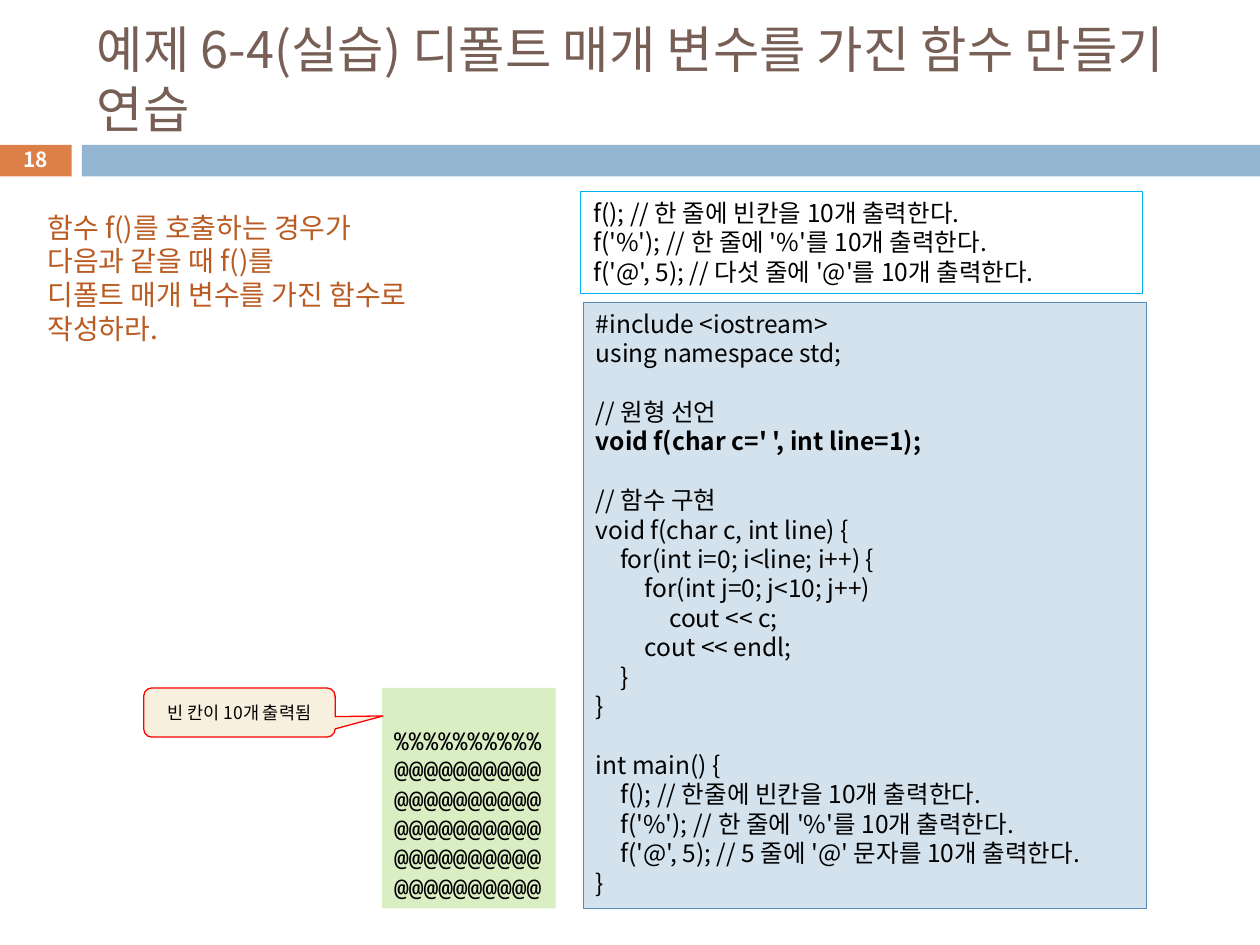
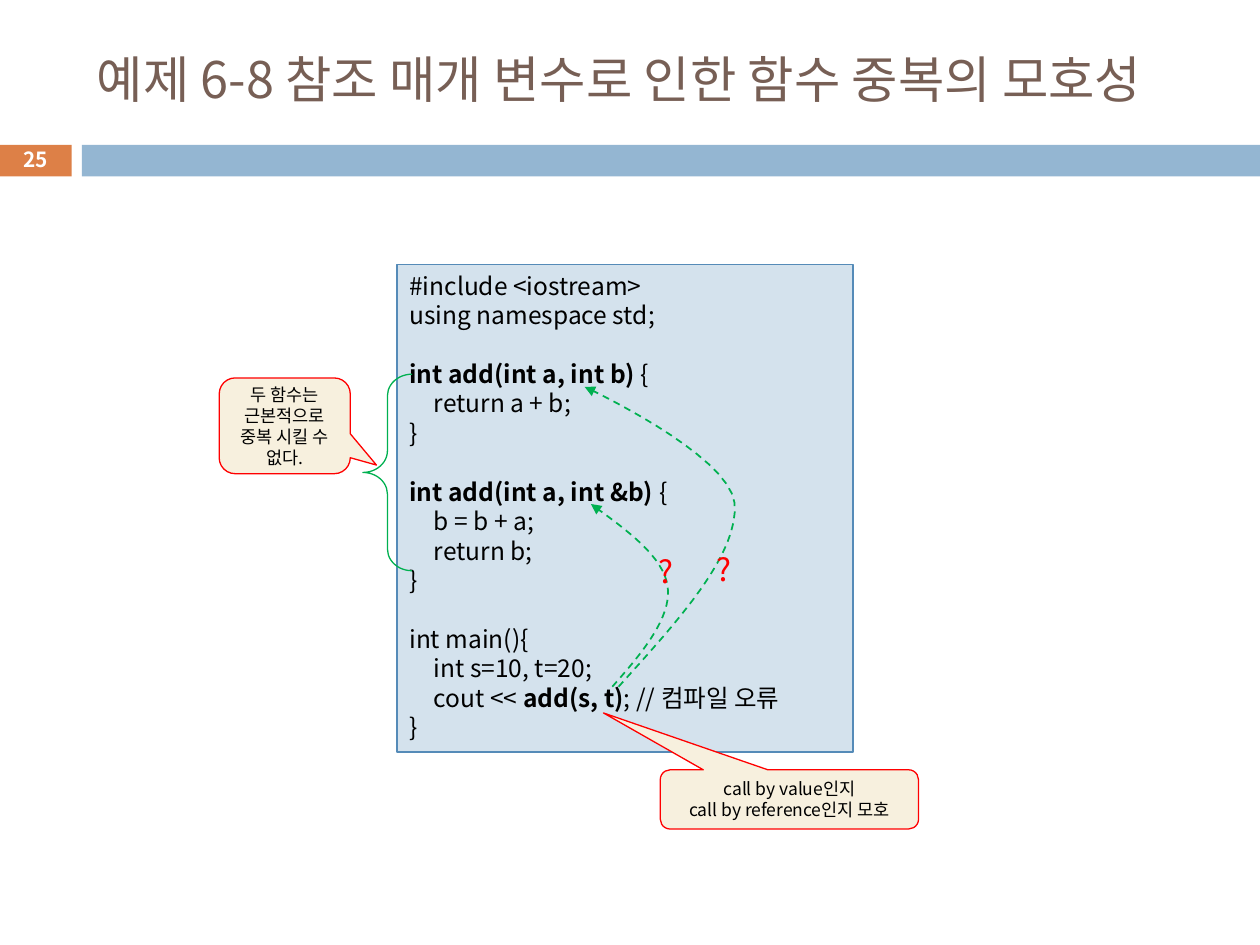
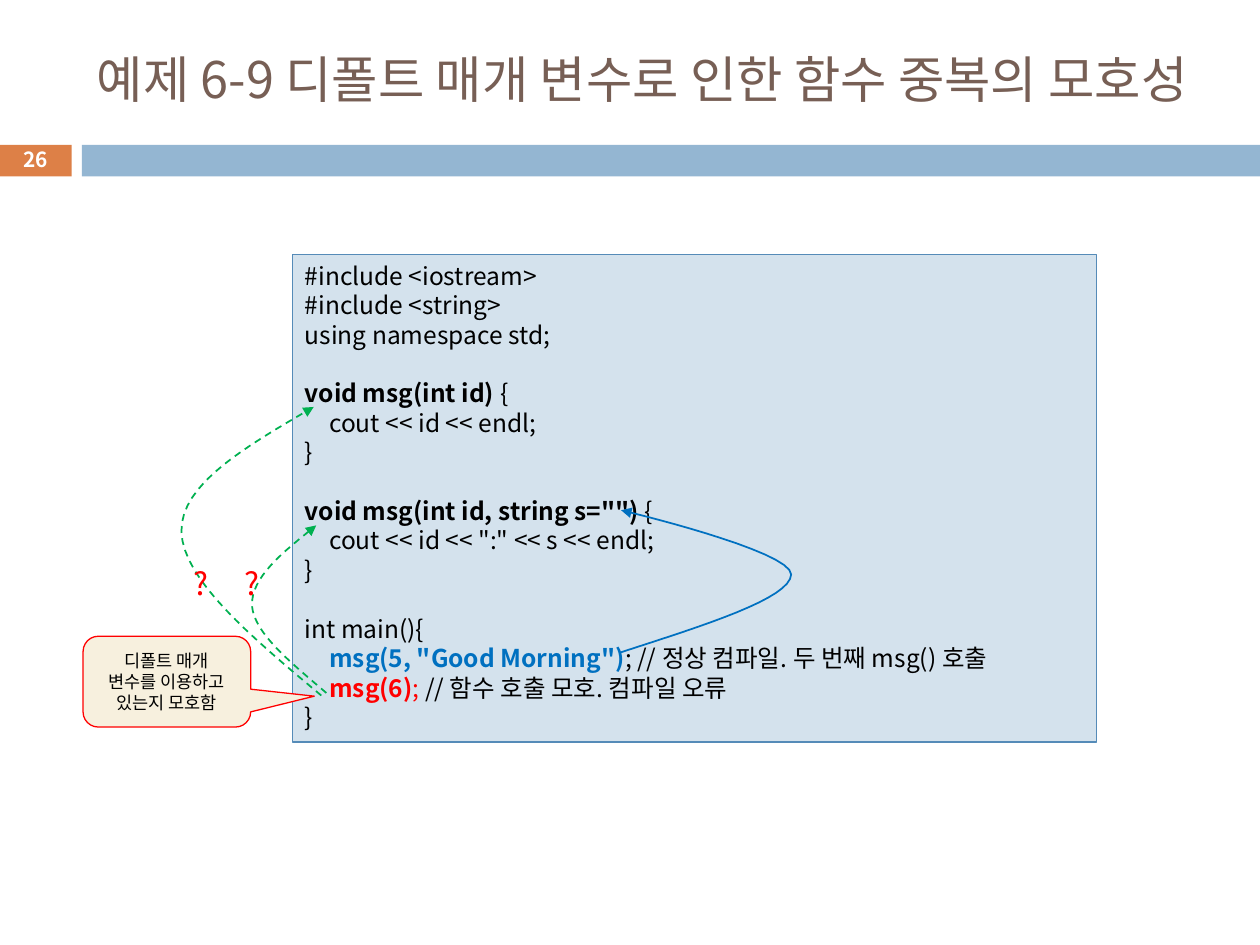
from lxml.etree import SubElement
from pptx import Presentation
from pptx.dml.color import RGBColor
from pptx.enum.dml import MSO_LINE
from pptx.enum.shapes import MSO_SHAPE
from pptx.enum.text import MSO_ANCHOR, PP_ALIGN
from pptx.oxml.ns import qn
from pptx.util import Inches, Pt

SANS, MONO = "Noto Sans CJK KR", "Noto Sans Mono"
BLACK = RGBColor(0, 0, 0)
WHITE = RGBColor(255, 255, 255)
RED = RGBColor(255, 0, 0)
GREEN = RGBColor(0x00, 0xB0, 0x50)
BLUE = RGBColor(0x00, 0x70, 0xC0)
CYAN = RGBColor(0x00, 0xB0, 0xF0)
BROWN = RGBColor(0x77, 0x5F, 0x55)
RUST = RGBColor(0xB9, 0x5B, 0x22)
BADGE = RGBColor(0xDD, 0x80, 0x47)
BAND = RGBColor(0x94, 0xB6, 0xD2)
CODE_FILL = RGBColor(0xD4, 0xE2, 0xED)
CODE_LINE = RGBColor(0x55, 0x8B, 0xB8)
OUTPUT_FILL = RGBColor(0xDA, 0xEE, 0xC4)
NOTE_FILL = RGBColor(0xF7, 0xF0, 0xDE)

WIDTH, HEIGHT = Inches(10), Inches(7.5)
COLUMN, ROW = WIDTH / 100, HEIGHT / 75
LEADING = 1.2
CODE_SIZE = 14
CURVE_STEPS = 16

F_CODE = [
    "#include <iostream>",
    "using namespace std;",
    "",
    "// 원형 선언",
    [("void f(char c=' ', int line=1);", BLACK, True)],
    "",
    "// 함수 구현",
    "void f(char c, int line) {",
    "\tfor(int i=0; i<line; i++) {",
    "\t\tfor(int j=0; j<10; j++)",
    "\t\t\tcout << c;",
    "\t\tcout << endl;",
    "\t}",
    "}",
    "",
    "int main() {",
    "\tf(); // 한줄에 빈칸을 10개 출력한다.",
    "\tf('%'); // 한 줄에 '%'를 10개 출력한다.",
    "\tf('@', 5); // 5 줄에 '@' 문자를 10개 출력한다.",
    "}",
]
F_CALLS = [
    "f(); // 한 줄에 빈칸을 10개 출력한다.",
    "f('%'); // 한 줄에 '%'를 10개 출력한다.",
    "f('@', 5); // 다섯 줄에 '@'를 10개 출력한다.",
]
F_TASK = [
    "함수 f()를 호출하는 경우가",
    "다음과 같을 때 f()를",
    "디폴트 매개 변수를 가진 함수로",
    "작성하라.",
]
ADD_CODE = [
    "#include <iostream>",
    "using namespace std;",
    "",
    [("int add(int a, int b) ", BLACK, True), ("{", BLACK, False)],
    "\treturn a + b;",
    "}",
    "",
    [("int add(int a, int &b) ", BLACK, True), ("{", BLACK, False)],
    "\tb = b + a;",
    "\treturn b;",
    "}",
    "",
    "int main(){",
    "\tint s=10, t=20;",
    [("\tcout << ", BLACK, False), ("add(s, t)", BLACK, True),
     ("; // 컴파일 오류", BLACK, False)],
    "}",
]
MSG_CODE = [
    "#include <iostream>",
    "#include <string>",
    "using namespace std;",
    "",
    [("void msg(int id) ", BLACK, True), ("{", BLACK, False)],
    "\tcout << id << endl;",
    "}",
    "",
    [('void msg(int id, string s="") ', BLACK, True), ("{", BLACK, False)],
    '\tcout << id << ":" << s << endl;',
    "}",
    "",
    "int main(){",
    [('\tmsg(5, "Good Morning")', BLUE, True),
     ("; // 정상 컴파일. 두 번째 msg() 호출", BLACK, False)],
    [("\tmsg(6)", RED, True), ("; ", RED, False),
     ("// 함수 호출 모호. 컴파일 오류", BLACK, False)],
    "}",
]


def point(column, row):
    """Turn a grid position into slide units."""
    return round(column * COLUMN), round(row * ROW)


def place(area):
    """Turn left, top, width and height on the grid into slide units."""
    return point(*area[:2]) + point(*area[2:])


def style_paragraph(paragraph, size, color, font, bold, align):
    """Set the tab stops, leading and font of a paragraph."""
    paragraph.alignment = align
    paragraph.line_spacing = Pt(round(size * LEADING, 1))
    properties = paragraph._p.get_or_add_pPr()
    stops = SubElement(properties, qn("a:tabLst"))
    for level in range(1, 4):
        SubElement(stops, qn("a:tab"), pos=str(level * Pt(CODE_SIZE)), algn="l")
    paragraph.font.size = Pt(size)
    paragraph.font.name = font
    paragraph.font.bold = bold
    paragraph.font.color.rgb = color
    SubElement(properties.find(qn("a:defRPr")), qn("a:ea"), typeface=font)


def write(shape, lines, size, color=BLACK, font=SANS, bold=False,
          align=PP_ALIGN.LEFT, anchor=MSO_ANCHOR.TOP, wrap=True):
    """Fill a shape with lines; an empty line becomes space before the next."""
    frame = shape.text_frame
    frame.word_wrap = wrap
    frame.vertical_anchor = anchor
    paragraph, gap = None, 0
    for line in lines:
        if not line:
            gap += size * LEADING
            continue
        paragraph = frame.add_paragraph() if paragraph else frame.paragraphs[0]
        style_paragraph(paragraph, size, color, font, bold, align)
        if gap:
            paragraph.space_before = Pt(round(gap, 1))
            gap = 0
        if isinstance(line, str):
            paragraph.add_run().text = line
            continue
        for text, span_color, span_bold in line:
            span = paragraph.add_run()
            span.text = text
            span.font.color.rgb = span_color
            span.font.bold = span_bold


def add_text(page, area, lines, size, color, **style):
    """Add a text box."""
    write(page.shapes.add_textbox(*place(area)), lines, size, color, **style)


def paint(shape, fill=None, line=None, weight=0.75):
    """Set the fill and outline of a shape and drop its shadow."""
    shape.shadow.inherit = False
    for target, color in ((shape.fill, fill), (shape.line.fill, line)):
        if color is None:
            target.background()
        else:
            target.solid()
            target.fore_color.rgb = color
    if line is not None:
        shape.line.width = Pt(weight)


def add_panel(page, area, fill=None, line=None, kind=MSO_SHAPE.RECTANGLE):
    """Add a painted preset shape."""
    panel = page.shapes.add_shape(kind, *place(area))
    paint(panel, fill, line)
    return panel


def add_code(page, area, lines):
    """Add a listing on a pale blue panel."""
    write(add_panel(page, area, CODE_FILL, CODE_LINE), lines, CODE_SIZE)


def add_callout(page, area, tip, lines):
    """Add a rounded callout that points at the tip."""
    callout = add_panel(page, area, NOTE_FILL, RED,
                        MSO_SHAPE.ROUNDED_RECTANGULAR_CALLOUT)
    callout.adjustments[0], callout.adjustments[1] = tip
    write(callout, lines, 10, align=PP_ALIGN.CENTER, anchor=MSO_ANCHOR.MIDDLE)


def add_question(page, column, row):
    """Add a red question mark."""
    add_text(page, (column, row, 3.2, 4), ["?"], 18, RED, wrap=False)


def curve_points(knots):
    """Sample the cubic curves through knots, three after the first for each."""
    points = []
    for first in range(0, len(knots) - 1, 3):
        corners = knots[first:first + 4]
        for step in range(1, CURVE_STEPS + 1):
            t = step / CURVE_STEPS
            weights = ((1 - t) ** 3, 3 * t * (1 - t) ** 2,
                       3 * t * t * (1 - t), t ** 3)
            points.append(point(*(
                sum(w * corner[axis] for w, corner in zip(weights, corners))
                for axis in (0, 1))))
    return points


def add_curved_arrow(page, knots, color=GREEN, dashed=True):
    """Add a curved arrow from the first knot to the last."""
    builder = page.shapes.build_freeform(*point(*knots[0]))
    builder.add_line_segments(curve_points(knots), close=False)
    arrow = builder.convert_to_shape()
    paint(arrow, line=color, weight=1)
    if dashed:
        arrow.line.dash_style = MSO_LINE.DASH
    SubElement(arrow.line._get_or_add_ln(), qn("a:tailEnd"), type="triangle")


def add_page(deck, number, title):
    """Add a page with its title, number badge and band."""
    page = deck.slides.add_slide(deck.slide_layouts[6])
    add_panel(page, (0, 11.5, 5.7, 2.5), BADGE)
    add_panel(page, (6.5, 11.5, 93.5, 2.5), BAND)
    add_text(page, (6.7, 2.5, 89.2, 7.4), [title], 28.8, BROWN,
             anchor=MSO_ANCHOR.MIDDLE)
    add_text(page, (0, 11.3, 5.7, 2.7), [str(number)], 11.9, WHITE, bold=True,
             align=PP_ALIGN.CENTER, anchor=MSO_ANCHOR.MIDDLE)
    return page


def add_default_exercise(deck):
    """Build the exercise on default parameters."""
    page = add_page(deck, 18, "예제 6-4(실습) 디폴트 매개 변수를 가진 함수 만들기 연습")
    add_text(page, (2.8, 16.2, 36.2, 11.8), F_TASK, 16, RUST)
    add_code(page, (46.3, 24, 44.7, 48.1), F_CODE)
    output = add_panel(page, (30.3, 54.6, 13.8, 17.5), OUTPUT_FILL)
    write(output, ["%" * 10] + ["@" * 10] * 5, CODE_SIZE, font=MONO,
          anchor=MSO_ANCHOR.BOTTOM, wrap=False)
    add_callout(page, (11.4, 54.6, 15.2, 3.9), (0.75, 0.07), ["빈 칸이 10개 출력됨"])
    write(add_panel(page, (46.1, 15.2, 44.6, 8.1), line=CYAN), F_CALLS, CODE_SIZE)


def add_reference_ambiguity(deck):
    """Build the example on reference parameters."""
    page = add_page(deck, 25, "예제 6-8 참조 매개 변수로 인한 함수 중복의 모호성")
    add_code(page, (31.5, 21, 36.2, 38.7), ADD_CODE)
    add_curved_arrow(page, [(48.6, 54.5), (51, 51.8), (53.3, 49), (53, 46.6),
                            (52.7, 44.2), (49.8, 42.1), (46.9, 40)])
    add_curved_arrow(page, [(49.1, 54.5), (53.9, 49.2), (58.7, 43.9), (58.3, 39.9),
                            (57.8, 36), (46.4, 30.7), (46.4, 30.7)])
    add_callout(page, (52.4, 61.1, 20.5, 4.7), (-0.72, -1.46),
                ["call by value인지", "call by reference인지 모호"])
    add_question(page, 51.3, 43.3)
    add_question(page, 55.9, 43.2)
    brace = add_panel(page, (28.8, 29.7, 3.9, 15.6), line=GREEN,
                      kind=MSO_SHAPE.LEFT_BRACE)
    brace.adjustments[0] = 0.44
    add_callout(page, (17.4, 30, 10.4, 7.6), (0.7, 0.41),
                ["두 함수는 근본적으로", "중복 시킬 수 없다."])


def add_default_ambiguity(deck):
    """Build the example on ambiguous default parameters."""
    page = add_page(deck, 26, "예제 6-9 디폴트 매개 변수로 인한 함수 중복의 모호성")
    add_code(page, (23.2, 20.2, 63.8, 38.7), MSG_CODE)
    add_curved_arrow(page, [(49.2, 51.8), (56, 49.6), (62.7, 47.5), (62.8, 45.6),
                            (62.8, 43.7), (49.3, 40.5), (49.3, 40.5)],
                     BLUE, dashed=False)
    add_curved_arrow(page, [(25.9, 55), (23.1, 52.6), (20.2, 50.3), (20, 48.1),
                            (19.9, 45.8), (22.5, 43.8), (25.1, 41.7)])
    add_curved_arrow(page, [(25.5, 55.2), (20, 50.6), (14.5, 46), (14.4, 42.2),
                            (14.3, 38.4), (19.6, 35.4), (24.9, 32.3)])
    add_callout(page, (6.6, 50.5, 13.3, 7.2), (0.88, 0.16),
                ["디폴트 매개 변수를 이용하고 있는지 모호함"])
    for column in (14.4, 18.4):
        add_question(page, column, 44.3)


def main():
    """Build and save the deck."""
    deck = Presentation()
    deck.slide_width, deck.slide_height = WIDTH, HEIGHT
    add_default_exercise(deck)
    add_reference_ambiguity(deck)
    add_default_ambiguity(deck)
    deck.save("out.pptx")


if __name__ == "__main__":
    main()
